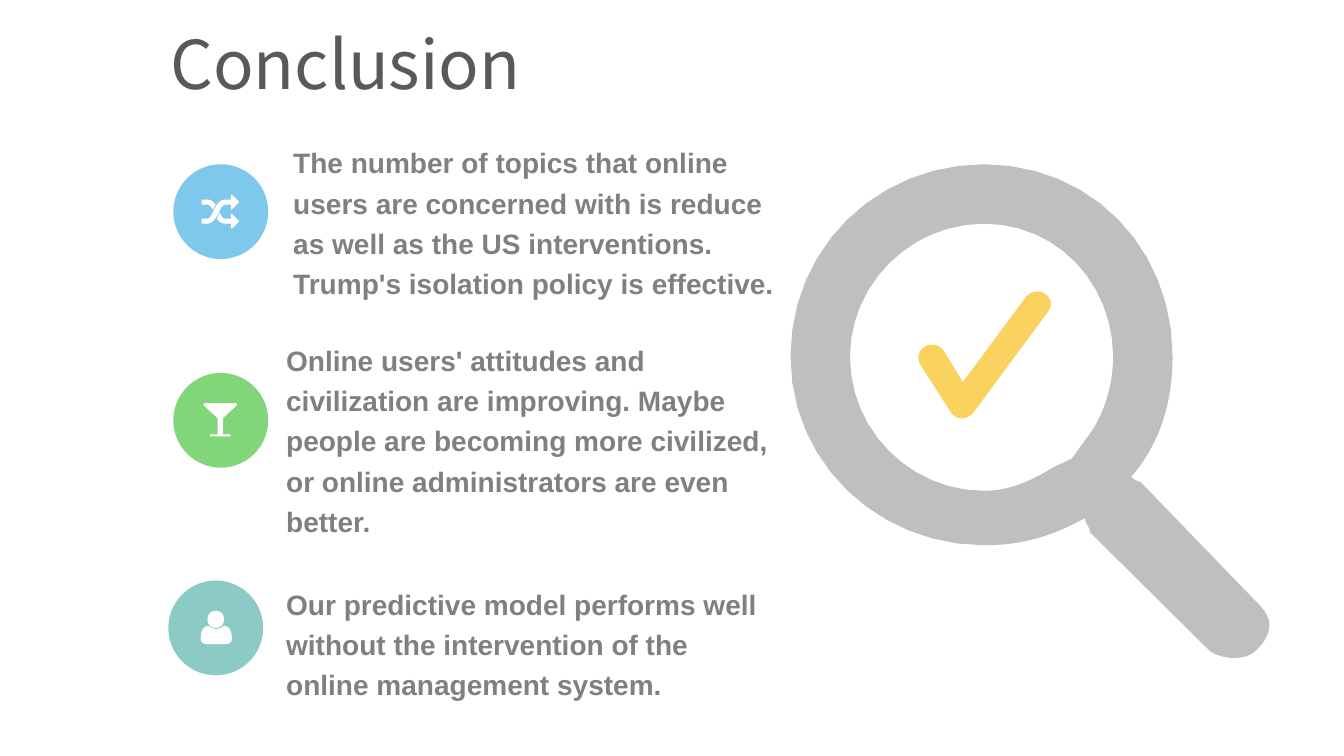
"""Conclusion slide: three findings with icons beside a magnifying glass."""
import pptx
import pptx.dml.color
import pptx.enum.shapes
import pptx.enum.text
import pptx.util

Inches = pptx.util.Inches
Pt = pptx.util.Pt
RGBColor = pptx.dml.color.RGBColor
OVAL = pptx.enum.shapes.MSO_SHAPE.OVAL

WHITE = RGBColor(0xFF, 0xFF, 0xFF)
SILVER = RGBColor(0xBF, 0xBF, 0xBF)
YELLOW = RGBColor(0xFA, 0xD2, 0x5F)
BLUE = RGBColor(0x7D, 0xC8, 0xEB)
GREEN = RGBColor(0x81, 0xD6, 0x7A)
TEAL = RGBColor(0x8C, 0xCB, 0xC5)
BODY_GRAY = RGBColor(0x80, 0x80, 0x80)
TITLE_GRAY = RGBColor(0x59, 0x59, 0x59)

TITLE = "Conclusion"
FINDINGS = [
    ("The number of topics that online users are concerned with is reduce "
     "as well as the US interventions. Trump's isolation policy is effective.",
     (2.81, 1.33, 5.21, 1.68)),
    ("Online users' attitudes and civilization are improving. Maybe people are "
     "becoming more civilized, or online administrators are even better.",
     (2.74, 3.29, 5, 2.08)),
    ("Our predictive model performs well without the intervention of the "
     "online management system.",
     (2.74, 5.71, 5, 1.28)),
]

# Each outline is a list of contours: a start point, then lines (x, y)
# or cubic curves (x1, y1, x2, y2, x, y).
MAGNIFIER = [
    [(7.84, 3.54), (7.84, 2.45, 8.71, 1.63, 9.76, 1.63),
     (10.81, 1.63, 11.63, 2.45, 11.63, 3.54), (11.63, 4, 11.5, 4.41, 11.22, 4.73),
     (11.22, 4.73, 11.27, 4.78, 11.31, 4.78), (12.45, 5.96),
     (12.55, 6.05, 12.59, 6.14, 12.59, 6.19), (12.59, 6.28, 12.55, 6.37, 12.45, 6.46),
     (12.36, 6.55, 12.13, 6.55, 12, 6.46), (10.81, 5.28),
     (10.81, 5.23, 10.76, 5.19, 10.76, 5.14), (10.44, 5.32, 10.13, 5.41, 9.76, 5.41),
     (8.71, 5.41, 7.84, 4.59, 7.84, 3.54)],
    [(8.43, 3.54), (8.43, 4.27, 9.03, 4.87, 9.76, 4.87),
     (9.99, 4.87, 10.22, 4.78, 10.44, 4.64), (10.63, 4.55), (10.76, 4.37),
     (10.95, 4.14, 11.04, 3.82, 11.04, 3.54), (11.04, 2.82, 10.49, 2.22, 9.76, 2.22),
     (9.03, 2.22, 8.43, 2.82, 8.43, 3.54)],
]
CHECK = [
    [(9.53, 4.15), (9.49, 4.15, 9.45, 4.12, 9.43, 4.09), (9.13, 3.62),
     (9.09, 3.56, 9.11, 3.48, 9.17, 3.44), (9.24, 3.4, 9.32, 3.42, 9.36, 3.48),
     (9.55, 3.79), (10.18, 2.94), (10.23, 2.89, 10.31, 2.87, 10.37, 2.92),
     (10.43, 2.96, 10.44, 3.04, 10.39, 3.1), (9.65, 4.1),
     (9.62, 4.13, 9.58, 4.15, 9.53, 4.15)],
]
SHUFFLE = [
    [(2.3, 1.93), (2.29, 1.94), (2.29, 1.98), (2.24, 1.98),
     (2.18, 1.98, 2.15, 2.02, 2.12, 2.09), (2.09, 2.15, 2.08, 2.17, 2.05, 2.17),
     (2, 2.17), (2, 2.22), (2.05, 2.22), (2.11, 2.22, 2.14, 2.17, 2.17, 2.11),
     (2.2, 2.05, 2.21, 2.03, 2.24, 2.03), (2.29, 2.03), (2.29, 2.07),
     (2.3, 2.08), (2.37, 2.01), (2.37, 2)],
    [(2, 1.98), (2, 2.03), (2.05, 2.03), (2.08, 2.03, 2.1, 2.06, 2.11, 2.08),
     (2.14, 2.03), (2.11, 1.99, 2.08, 1.98, 2.05, 1.98)],
    [(2.18, 2.11), (2.15, 2.17), (2.18, 2.21, 2.21, 2.22, 2.24, 2.22),
     (2.29, 2.22), (2.29, 2.26), (2.3, 2.27), (2.37, 2.2), (2.37, 2.19),
     (2.3, 2.12), (2.29, 2.12), (2.29, 2.17), (2.24, 2.17),
     (2.21, 2.17, 2.2, 2.15, 2.18, 2.11)],
]
GLASS = [
    [(2.34, 4.03), (2.36, 4.01, 2.35, 4, 2.33, 4), (2.04, 4),
     (2.02, 4, 2.01, 4.01, 2.03, 4.03), (2.16, 4.15), (2.16, 4.31), (2.09, 4.31),
     (2.08, 4.31, 2.08, 4.33, 2.09, 4.33), (2.28, 4.33),
     (2.29, 4.33, 2.29, 4.31, 2.28, 4.31), (2.21, 4.31), (2.21, 4.15)],
]
HEAD = [
    [(2.14, 6.06), (2.25, 6.06, 2.25, 6.23, 2.14, 6.23),
     (2.03, 6.23, 2.03, 6.06, 2.14, 6.06)],
]
SHOULDERS = [
    [(2.07, 6.21), (2.01, 6.21, 1.99, 6.27, 1.99, 6.34),
     (1.99, 6.37, 2.02, 6.39, 2.05, 6.39), (2.24, 6.39),
     (2.27, 6.39, 2.3, 6.37, 2.3, 6.34), (2.3, 6.27, 2.28, 6.21, 2.22, 6.21),
     (2.17, 6.25, 2.12, 6.25, 2.07, 6.21)],
]
BADGE = 0.94
BADGES = [
    (1.72, 1.63, BLUE, SHUFFLE),
    (1.72, 3.7, GREEN, GLASS),
    (1.67, 5.76, TEAL, HEAD + SHOULDERS),
]
CURVE_STEPS = 12


def paint(sp, color):
    sp.shadow.inherit = False
    sp.fill.solid()
    sp.fill.fore_color.rgb = color
    sp.line.fill.background()


def flatten(contour):
    points = [contour[0]]
    for seg in contour[1:]:
        if len(seg) == 2:
            points.append(seg)
            continue
        start, c1, c2, end = points[-1], seg[:2], seg[2:4], seg[4:]
        for i in range(1, CURVE_STEPS + 1):
            t = i / CURVE_STEPS
            u = 1 - t
            points.append(tuple(
                u**3 * a + 3 * u * u * t * b + 3 * u * t * t * c + t**3 * d
                for a, b, c, d in zip(start, c1, c2, end)))
    return [(Inches(x), Inches(y)) for x, y in points]


def add_outline(shapes, contours, color):
    first, *others = [flatten(contour) for contour in contours]
    fb = shapes.build_freeform(*first[0])
    fb.add_line_segments(first[1:], close=True)
    for points in others:
        fb.move_to(*points[0])
        fb.add_line_segments(points[1:], close=True)
    paint(fb.convert_to_shape(), color)


def add_text(shapes, text, box, font, size, color, bold, spacing):
    sp = shapes.add_textbox(*[Inches(v) for v in box])
    tf = sp.text_frame
    tf.word_wrap = True
    p = tf.paragraphs[0]
    p.line_spacing = spacing
    r = p.add_run()
    r.text = text
    r.font.name = font
    r.font.size = Pt(size)
    r.font.bold = bold
    r.font.color.rgb = color
    return tf


def main():
    prs = pptx.Presentation()
    prs.slide_width = Inches(13.33)
    prs.slide_height = Inches(7.5)
    s = prs.slides.add_slide(prs.slide_layouts[6])

    search = s.shapes.add_group_shape().shapes
    add_outline(search, MAGNIFIER, SILVER)
    add_outline(search, CHECK, YELLOW)

    for x, y, color, icon in BADGES:
        badge = s.shapes.add_group_shape().shapes
        paint(badge.add_shape(OVAL, Inches(x), Inches(y), Inches(BADGE), Inches(BADGE)), color)
        add_outline(badge, icon, WHITE)

    for text, box in FINDINGS:
        tf = add_text(s.shapes, text, box, "Arial", 20, BODY_GRAY, True, 1.2)
        tf.auto_size = pptx.enum.text.MSO_AUTO_SIZE.SHAPE_TO_FIT_TEXT
    tf = add_text(s.shapes, TITLE, (1.59, 0.26, 8.28, 1.24),
                  "Noto Sans CJK SC", 48, TITLE_GRAY, False, 0.9)
    tf.margin_right = Inches(0.39)

    prs.save("out.pptx")


if __name__ == "__main__":
    main()
